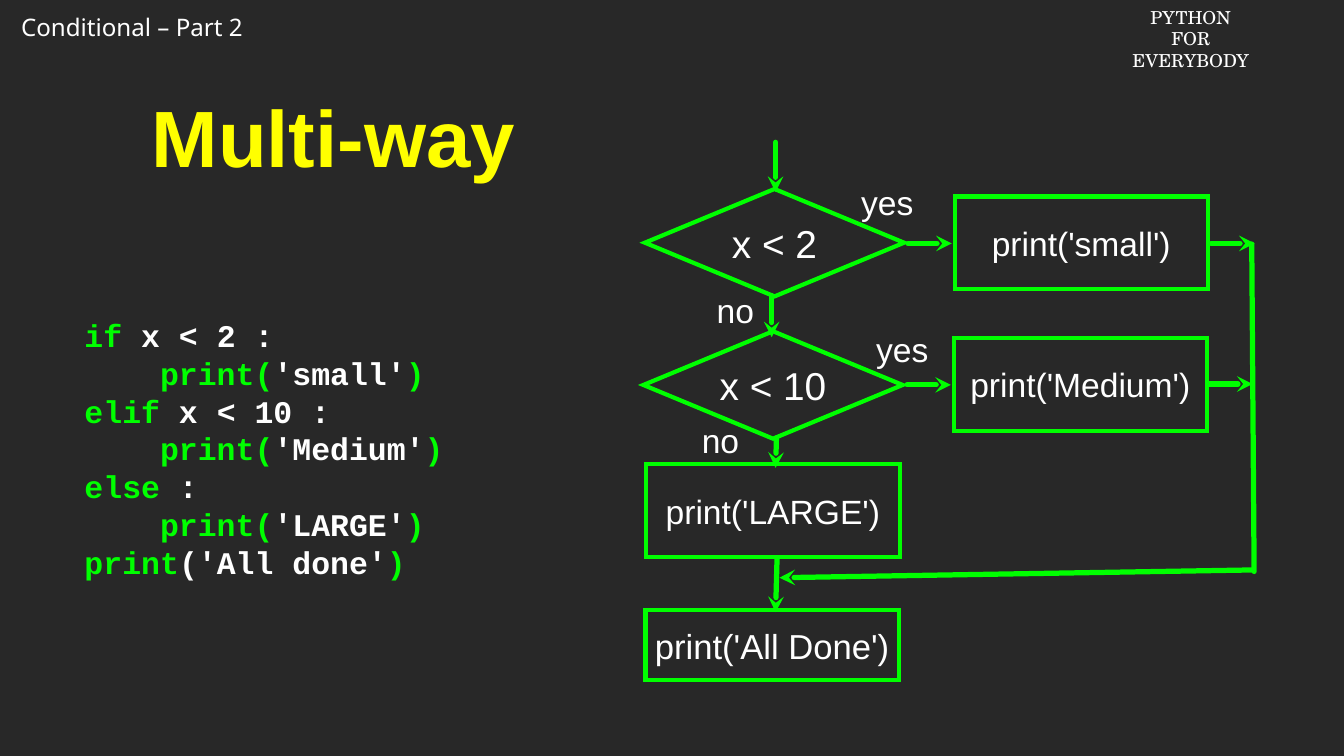
"""Build the Multi-way slide: an if/elif/else program beside its flowchart."""
import pptx
import pptx.dml.color
import pptx.enum.shapes
import pptx.enum.text
import pptx.oxml
import pptx.oxml.ns
import pptx.util

Cm = pptx.util.Cm
Pt = pptx.util.Pt
RGBColor = pptx.dml.color.RGBColor
SHAPE = pptx.enum.shapes.MSO_SHAPE
ALIGN = pptx.enum.text.PP_ALIGN
ANCHOR = pptx.enum.text.MSO_ANCHOR

BACKGROUND = RGBColor(0x28, 0x28, 0x28)
GREEN = RGBColor(0x00, 0xFF, 0x00)
WHITE = RGBColor(0xFF, 0xFF, 0xFF)
YELLOW = RGBColor(0xFF, 0xFF, 0x00)

PROGRAM = [
    [("if", GREEN), (" x < 2 :", WHITE)],
    [("    print(", GREEN), ("'small'", WHITE), (")", GREEN)],
    [("elif", GREEN), (" x < 10 :", WHITE)],
    [("    print(", GREEN), ("'Medium'", WHITE), (")", GREEN)],
    [("else", GREEN), (" :", WHITE)],
    [("    print(", GREEN), ("'LARGE'", WHITE), (")", GREEN)],
    [("print", GREEN), ("('All done'", WHITE), (")", GREEN)],
]
DECISIONS = [("x < 2", 21.67, 6.35), ("x < 10", 21.62, 11.13)]
STATEMENTS = [
    ("print('small')", 32.08, 6.6, 3.12, 32),
    ("print('Medium')", 32.05, 11.35, 3.12, 32),
    ("print('LARGE')", 21.72, 15.6, 3.12, 32),
    ("print('All Done')", 21.69, 20.5, 2.36, 33),
]
BRANCH_LABELS = [
    ("yes", 28.85, 6.12, 1.93),
    ("no", 24.05, 9.73, 1.32),
    ("yes", 29.24, 11.05, 2.16),
    ("no", 23.55, 14.1, 1.32),
]
ARROWS = [
    (26.06, 4.78, 26.06, 6.45),
    (30.51, 8.18, 31.98, 8.18),
    (40.69, 8.18, 42.16, 8.18),
    (25.93, 9.93, 25.93, 11.33),
    (30.48, 12.93, 31.95, 12.93),
    (40.61, 12.9, 42.09, 12.9),
    (26.09, 14.71, 26.06, 15.72),
    (42.09, 19.15, 26.19, 19.41),
    (26.11, 18.75, 26.06, 20.57),
]
RETURN_LINE = (42.06, 8.2, 42.14, 19.2)


def set_text(frame, lines, size, font="Arial", color=WHITE, bold=False,
             align=ALIGN.CENTER, anchor=ANCHOR.MIDDLE, inset=0, wrap=True):
    """Fill a text frame with lines, each a string or a list of coloured parts."""
    frame.auto_size = pptx.enum.text.MSO_AUTO_SIZE.NONE
    frame.word_wrap = wrap
    frame.vertical_anchor = anchor
    if inset is not None:
        frame.margin_left = frame.margin_right = Cm(inset)
        frame.margin_top = frame.margin_bottom = Cm(inset)
    for index, line in enumerate(lines):
        paragraph = frame.add_paragraph() if index else frame.paragraphs[0]
        paragraph.alignment = align
        parts = [(line, color)] if isinstance(line, str) else line
        for words, part_color in parts:
            run = paragraph.add_run()
            run.text = words
            run.font.size = Pt(size)
            run.font.name = font
            run.font.bold = bold
            run.font.color.rgb = part_color


def add_label(slide, lines, left, top, width, height, **text_format):
    """Add a text box."""
    label = slide.shapes.add_textbox(Cm(left), Cm(top), Cm(width), Cm(height))
    set_text(label.text_frame, lines, **text_format)


def add_step(slide, outline, words, left, top, width, height, size):
    """Add an outlined flowchart step."""
    step = slide.shapes.add_shape(outline, Cm(left), Cm(top), Cm(width), Cm(height))
    step.shadow.inherit = False
    step.fill.background()
    step.line.color.rgb = GREEN
    step.line.width = Pt(4)
    miter = pptx.oxml.parse_xml(f'<a:miter {pptx.oxml.ns.nsdecls("a")} lim="800000"/>')
    step.line._get_or_add_ln().append(miter)
    set_text(step.text_frame, [words], size)


def add_flow(slide, start_x, start_y, end_x, end_y, arrow=True):
    """Add a flow line, with an arrowhead at its end if wanted."""
    flow = slide.shapes.add_connector(
        pptx.enum.shapes.MSO_CONNECTOR.STRAIGHT,
        Cm(start_x), Cm(start_y), Cm(end_x), Cm(end_y))
    flow.line.color.rgb = GREEN
    flow.line.width = Pt(5)
    stroke = flow.line._get_or_add_ln()
    stroke.set("cap", "rnd")
    namespace = pptx.oxml.ns.nsdecls("a")
    if arrow:
        stroke.append(pptx.oxml.parse_xml(f'<a:tailEnd {namespace} type="stealth"/>'))
    flow._element.spPr.append(pptx.oxml.parse_xml(f"<a:effectLst {namespace}/>"))


def add_title(slide, words):
    """Place and format the title placeholder."""
    title = slide.shapes.title
    title.left, title.top, title.width, title.height = Cm(3.2), Cm(2.08), Cm(16), Cm(4.98)
    set_text(title.text_frame, [words], 76, color=YELLOW, bold=True, inset=0.1)


def main():
    """Build and save the slide."""
    deck = pptx.Presentation()
    deck.slide_width, deck.slide_height = Cm(45.16), Cm(25.4)
    slide = deck.slides.add_slide(deck.slide_layouts[5])
    slide.background.fill.solid()
    slide.background.fill.fore_color.rgb = BACKGROUND

    add_label(slide, ["Conditional – Part 2"], 0.46, 0.3, 8.33, 1.24, size=23,
              font="Noto Sans", align=ALIGN.LEFT, anchor=ANCHOR.TOP, inset=None, wrap=False)
    add_label(slide, ["PYTHON FOR", "EVERYBODY"], 37.8, 0.1, 4.42, 1.7, size=17,
              font="TeX Gyre Schola", anchor=ANCHOR.TOP, inset=None)
    add_title(slide, "Multi-way")
    add_label(slide, PROGRAM, 2.84, 9.5, 14.17, 11.13, size=30,
              font="Courier New", bold=True, align=ALIGN.LEFT)

    for words, left, top in DECISIONS:
        add_step(slide, SHAPE.DIAMOND, words, left, top, 8.71, 3.61, 37)
    for words, left, top, height, size in STATEMENTS:
        add_step(slide, SHAPE.RECTANGLE, words, left, top, 8.51, height, size)
    for words, left, top, width in BRANCH_LABELS:
        add_label(slide, [words], left, top, width, 1.37, size=32)
    for arrow in ARROWS:
        add_flow(slide, *arrow)
    add_flow(slide, *RETURN_LINE, arrow=False)

    deck.save("out.pptx")


if __name__ == "__main__":
    main()
